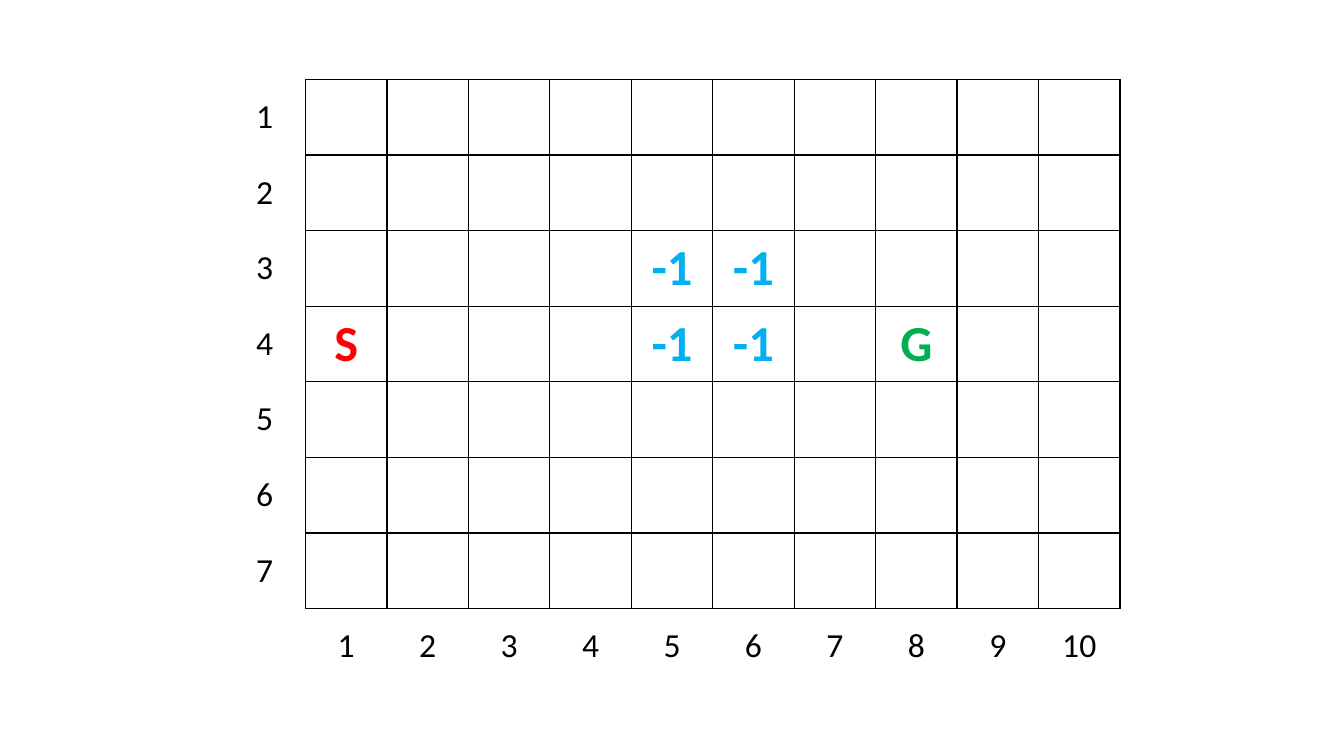
from dataclasses import dataclass

from lxml.etree import SubElement
from pptx import Presentation
from pptx.dml.color import RGBColor
from pptx.enum.text import MSO_ANCHOR, PP_ALIGN
from pptx.oxml.ns import qn
from pptx.util import Inches, Pt


@dataclass(frozen=True)
class Theme:
    font: str = "Calibri"
    ink: str = "000000"
    start: str = "FF0000"
    goal: str = "00B050"
    penalty: str = "00B0F0"
    label_size: int = 24
    mark_size: int = 36
    line_width: int = 1


THEME = Theme()
WORLD_ROWS, WORLD_COLUMNS = 7, 10

# Marked squares, keyed by world row and column
MARKS = {(row, column): ("-1", THEME.penalty) for row in (3, 4) for column in (5, 6)}
MARKS[4, 1] = ("S", THEME.start)
MARKS[4, 8] = ("G", THEME.goal)


def write_text(cell, text, size=THEME.label_size, color=THEME.ink, bold=False):
    cell.vertical_anchor = MSO_ANCHOR.MIDDLE
    paragraph = cell.text_frame.paragraphs[0]
    paragraph.alignment = PP_ALIGN.CENTER
    run = paragraph.add_run()
    run.text = text
    run.font.name = THEME.font
    run.font.size = Pt(size)
    run.font.bold = bold
    run.font.color.rgb = RGBColor.from_string(color)


def set_borders(cell, sides):
    """Rule the given sides (letters of LRTB) and clear the others."""
    properties = cell._tc.get_or_add_tcPr()
    for side in "LRTB":
        line = SubElement(properties, qn(f"a:ln{side}"), w=str(Pt(THEME.line_width)))
        if side in sides:
            fill = SubElement(line, qn("a:solidFill"))
            SubElement(fill, qn("a:srgbClr"), val=THEME.ink)
        else:
            SubElement(line, qn("a:noFill"))


def add_grid_world(slide, left, top, width, height):
    row_count, column_count = WORLD_ROWS + 1, WORLD_COLUMNS + 1
    table = slide.shapes.add_table(
        row_count, column_count, left, top, width, height).table
    table.first_row = table.horz_banding = False
    for column in table.columns:
        column.width = round(width / column_count)
    for row in table.rows:
        row.height = round(height / row_count)

    # Row labels fill the first column, column labels the last row
    for row in range(1, row_count + 1):
        for column in range(column_count):
            cell = table.cell(row - 1, column)
            is_row_label = column == 0
            is_column_label = row == row_count
            if is_row_label and is_column_label:
                sides = ""
            elif is_row_label:
                sides = "R"
                write_text(cell, str(row))
            elif is_column_label:
                sides = "T"
                write_text(cell, str(column))
            else:
                sides = "LRTB"
                if (row, column) in MARKS:
                    text, color = MARKS[row, column]
                    write_text(cell, text, size=THEME.mark_size, color=color, bold=True)
            set_borders(cell, sides)
            cell.fill.background()


presentation = Presentation()
presentation.slide_width = Inches(13.33)
presentation.slide_height = Inches(7.5)
world_slide = presentation.slides.add_slide(presentation.slide_layouts[6])

# Grid world, as shares of the slide
add_grid_world(
    world_slide,
    left=round(presentation.slide_width / 6),
    top=round(presentation.slide_height * 0.105),
    width=round(presentation.slide_width * 2 / 3),
    height=round(presentation.slide_height * 0.8),
)

presentation.save("out.pptx")
